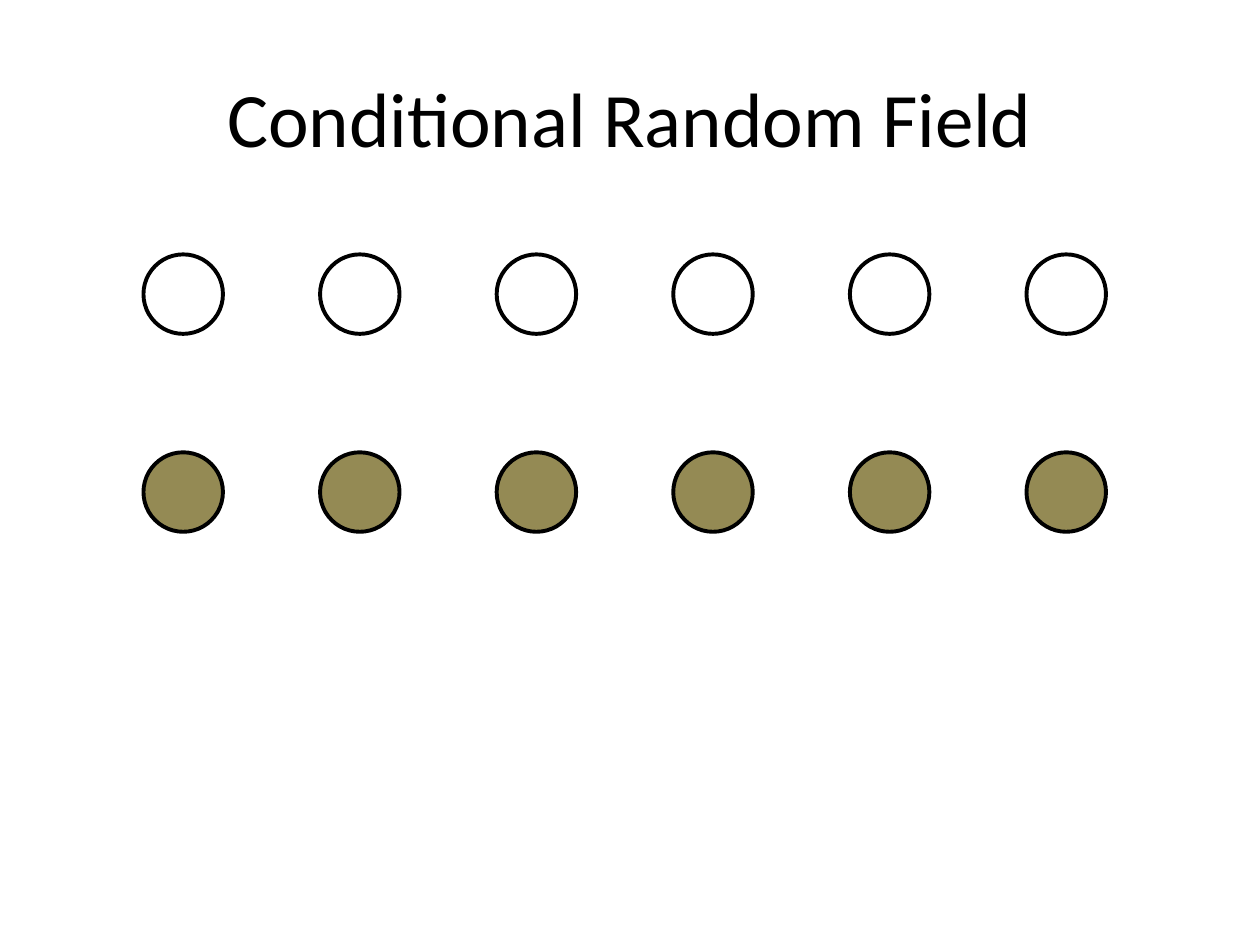
import pptx
import pptx.dml.color
import pptx.enum.shapes
import pptx.enum.text
import pptx.util

Pt = pptx.util.Pt
BLACK = pptx.dml.color.RGBColor(0x00, 0x00, 0x00)
OLIVE = pptx.dml.color.RGBColor(0x94, 0x8A, 0x54)

NODE_COUNT = 6
NODE_SIZE = 45.4


def place_title(slide, text, left, top, width, height):
    title = slide.shapes.title
    title.left, title.top = Pt(left), Pt(top)
    title.width, title.height = Pt(width), Pt(height)
    text_frame = title.text_frame
    text_frame.text = text
    text_frame.vertical_anchor = pptx.enum.text.MSO_ANCHOR.MIDDLE
    paragraph = text_frame.paragraphs[0]
    paragraph.alignment = pptx.enum.text.PP_ALIGN.CENTER
    font = paragraph.runs[0].font
    font.name = "Calibri"
    font.size = Pt(44)
    font.color.rgb = BLACK


def add_node_row(slide, left, top, width, fill_color=None):
    """Spread the nodes evenly over the width; no colour means no fill."""
    step = (width - NODE_SIZE) / (NODE_COUNT - 1)
    for index in range(NODE_COUNT):
        node = slide.shapes.add_shape(
            pptx.enum.shapes.MSO_SHAPE.OVAL,
            Pt(left + index * step), Pt(top), Pt(NODE_SIZE), Pt(NODE_SIZE))
        node.shadow.inherit = False
        if fill_color is None:
            node.fill.background()
        else:
            node.fill.solid()
            node.fill.fore_color.rgb = fill_color
        node.line.color.rgb = BLACK
        node.line.width = Pt(2.25)


def main():
    presentation = pptx.Presentation()
    presentation.slide_width = Pt(720)
    presentation.slide_height = Pt(540)
    slide = presentation.slides.add_slide(presentation.slide_layouts[5])

    place_title(slide, "Conditional Random Field", 36, 21.6, 648, 90)

    # Observed nodes below, hidden nodes above
    add_node_row(slide, 82, 258.5, 550, OLIVE)
    add_node_row(slide, 82, 145.4, 550)

    presentation.save("out.pptx")


if __name__ == "__main__":
    main()
